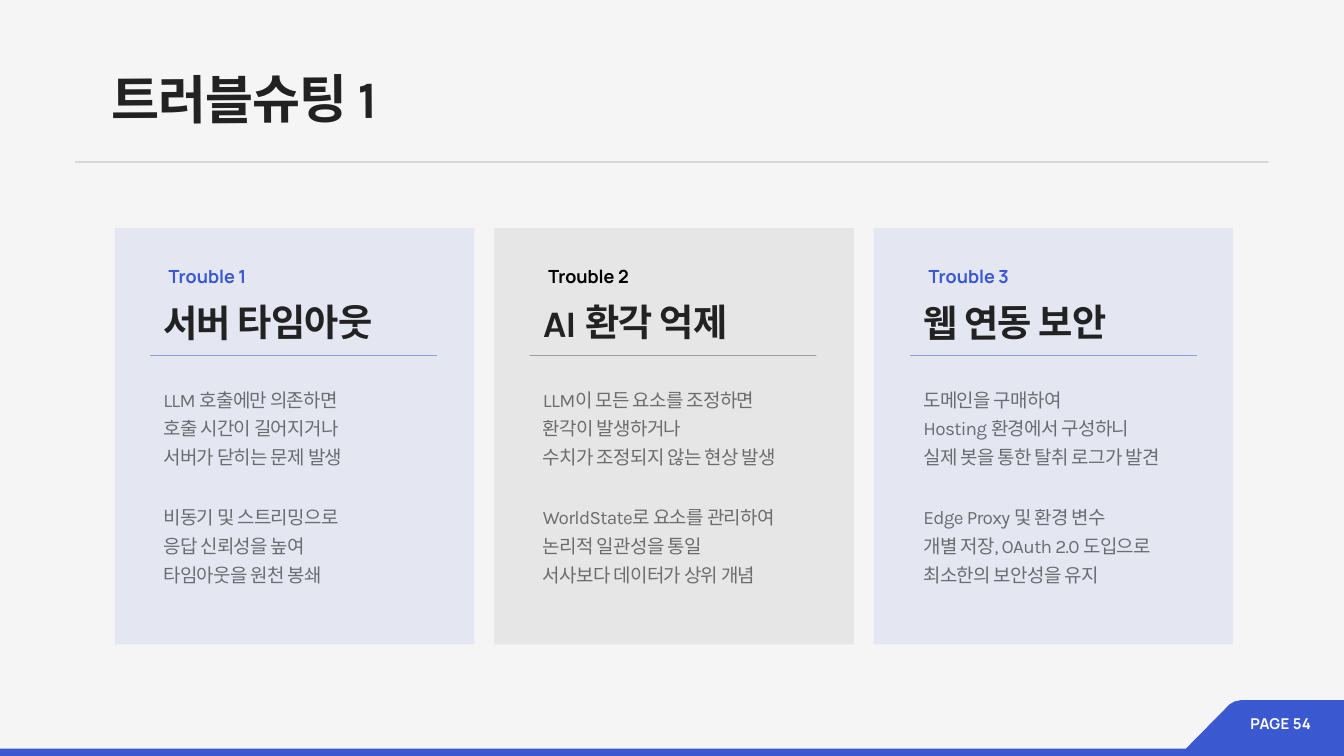
from lxml.etree import SubElement
from pptx import Presentation
from pptx.dml.color import RGBColor
from pptx.enum.shapes import MSO_CONNECTOR, MSO_SHAPE
from pptx.enum.text import MSO_AUTO_SIZE, PP_ALIGN
from pptx.oxml.ns import qn
from pptx.util import Inches, Pt

# Content
BLUE, INK, WHITE = "3A59D1", "222222", "FFFFFF"
TITLE = "트러블슈팅 1"
PAGE = "PAGE 54"
CARDS = [
    dict(label="Trouble 1", head="서버 타임아웃", accent=BLUE, fill="E4E7F2",
         fill_alpha=100, rule=BLUE, rule_alpha=50, text_left=2.43,
         problem=["LLM 호출에만 의존하면", "호출 시간이 길어지거나", "서버가 닫히는 문제 발생"],
         remedy=["비동기 및 스트리밍으로", "응답 신뢰성을 높여", "타임아웃을 원천 봉쇄"]),
    dict(label="Trouble 2", head="AI 환각 억제", accent="000000", fill="DEDEDE",
         fill_alpha=64, rule=INK, rule_alpha=37, text_left=8.08,
         problem=["LLM이 모든 요소를 조정하면", "환각이 발생하거나", "수치가 조정되지 않는 현상 발생"],
         remedy=["WorldState로 요소를 관리하여", "논리적 일관성을 통일", "서사보다 데이터가 상위 개념"]),
    dict(label="Trouble 3", head="웹 연동 보안", accent=BLUE, fill="E4E7F2",
         fill_alpha=100, rule=BLUE, rule_alpha=50, text_left=13.74,
         problem=["도메인을 구매하여", "Hosting 환경에서 구성하니", "실제 봇을 통한 탈취 로그가 발견"],
         remedy=["Edge Proxy 및 환경 변수", "개별 저장, OAuth 2.0 도입으로", "최소한의 보안성을 유지"]),
]

# Layout
W, H = 20, 11.25
CARD_LEFT, CARD_TOP, CARD_W, CARD_H, CARD_PITCH = 1.71, 3.39, 5.35, 6.2, 5.645
TILT = 359.7
TAB = [(17.64, H), (17.56, 11.26 - 0.01), (17.59, 11.2), (18.3, 10.48),
       (18.37, 10.44), (18.46, 10.42), (W, 10.42), (W, H)]

prs = Presentation()
prs.slide_width, prs.slide_height = Inches(W), Inches(H)
s = prs.slides.add_slide(prs.slide_layouts[6])


def paint(fill, color, alpha=100):
    fill.solid()
    fill.fore_color.rgb = RGBColor.from_string(color)
    if alpha < 100:
        clr = fill._xPr.find(qn("a:solidFill"))[0]
        SubElement(clr, qn("a:alpha")).set("val", str(alpha * 1000))


def finish(sp, color, alpha=100):
    paint(sp.fill, color, alpha)
    sp.line.fill.background()
    sp.shadow.inherit = False


def add_box(x, y, w, h, color, alpha=100):
    finish(s.shapes.add_shape(MSO_SHAPE.RECTANGLE, Inches(x), Inches(y),
                              Inches(w), Inches(h)), color, alpha)


def add_rule(x, y, w, color, alpha):
    c = s.shapes.add_connector(MSO_CONNECTOR.STRAIGHT, Inches(x), Inches(y),
                               Inches(x + w), Inches(y))
    c.line.width = Pt(0.75)
    paint(c.line.fill, color, alpha)
    SubElement(c._element.spPr, qn("a:effectLst"))


def add_text(lines, x, y, w, h, *, size, spacing, font="Karla", color=INK,
             alpha=100, bold=False, track=0, align=PP_ALIGN.LEFT, rotation=0):
    sp = s.shapes.add_textbox(Inches(x), Inches(y), Inches(w), Inches(h))
    sp.rotation = rotation
    tf = sp.text_frame
    tf.word_wrap = True
    tf.auto_size = MSO_AUTO_SIZE.SHAPE_TO_FIT_TEXT
    tf.margin_left = tf.margin_right = tf.margin_top = tf.margin_bottom = 0
    for i, line in enumerate(lines):
        p = tf.add_paragraph() if i else tf.paragraphs[0]
        p.alignment = align
        p.line_spacing = Pt(spacing)
        r = p.add_run()
        r.text = line
        r.font.size, r.font.name, r.font.bold = Pt(size), font, bold
        paint(r.font.fill, color, alpha)
        r.font._element.set("spc", str(round(track * 100)))


# Background, footer bar and page tab
paint(s.background.fill, "F5F5F5")
add_box(0, 11.14, W, H - 11.14, BLUE)
fb = s.shapes.build_freeform(Inches(TAB[0][0]), Inches(TAB[0][1]))
fb.add_line_segments([(Inches(x), Inches(y)) for x, y in TAB[1:]])
finish(fb.convert_to_shape(), BLUE)
add_text([PAGE], 16.35, 10.72, 3.16, 0.22, size=16, spacing=13.3, font="Manrope",
         color=WHITE, bold=True, track=0.3, align=PP_ALIGN.RIGHT)

# Title
add_rule(1.12, 2.41, W - 2 * 1.12, INK, 39)
add_text([TITLE], 1.66, 1.03, 4.86, 0.89, size=56, spacing=64.4, bold=True,
         track=-1.2, rotation=TILT)

# Cards
for i, card in enumerate(CARDS):
    left, x = CARD_LEFT + i * CARD_PITCH, card["text_left"]
    add_box(left, CARD_TOP, CARD_W, CARD_H, card["fill"], card["fill_alpha"])
    add_text([card["label"]], x + 0.08, 3.99, 2.12, 0.29, size=19.4, spacing=19.8,
             font="Manrope", color=card["accent"], bold=True, track=-0.1, rotation=TILT)
    add_text([card["head"]], x, 4.48, 3.87, 0.64, size=40, spacing=46, bold=True,
             track=-0.9, rotation=TILT)
    add_rule(x - 0.2, 5.29, 4.27, card["rule"], card["rule_alpha"])
    for y, part in ((5.69, "problem"), (7.44, "remedy")):
        add_text(card[part], x, y, 3.88, 1.26, size=20.3, spacing=30.7,
                 alpha=62, track=-0.7)

prs.save("out.pptx")
